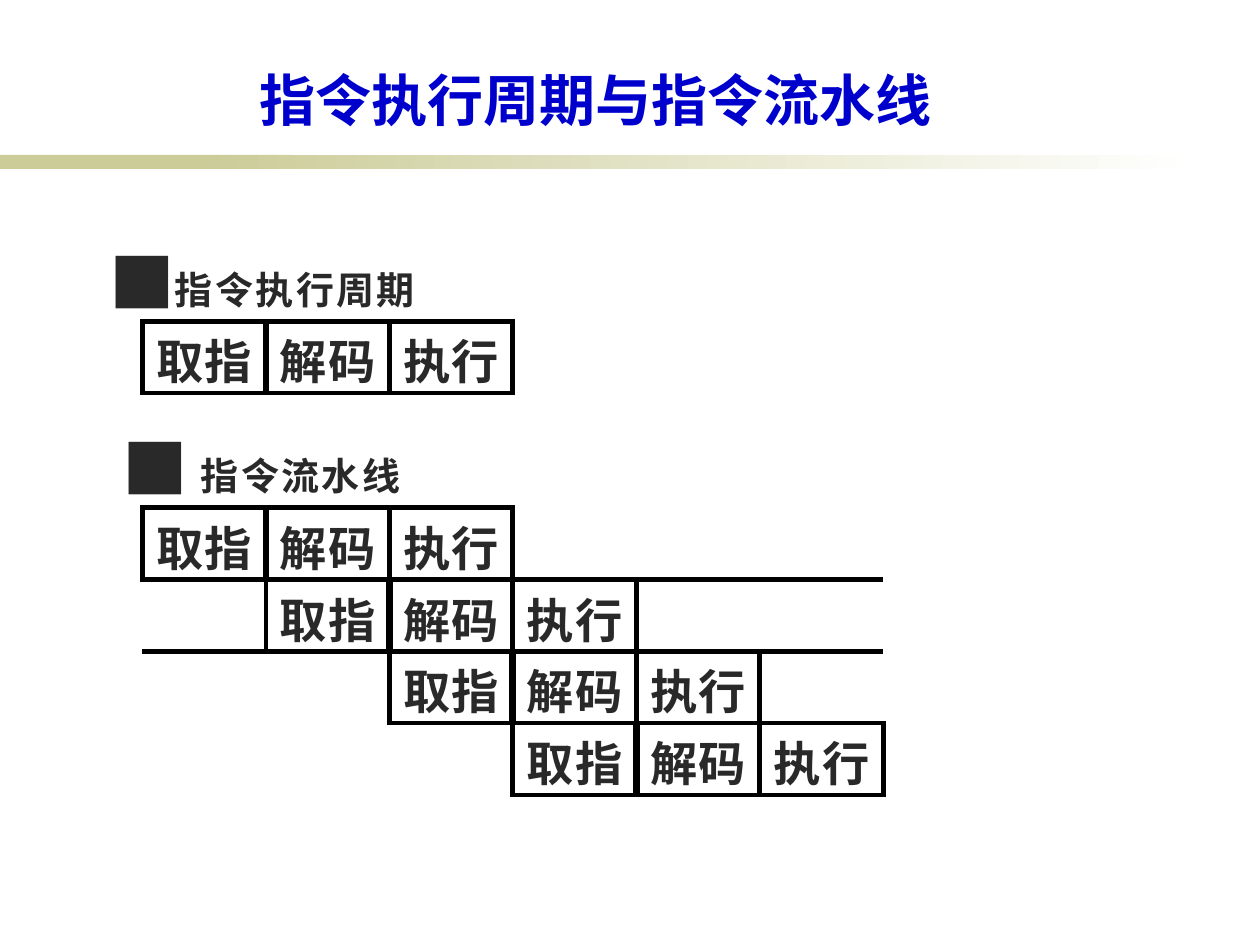
from lxml import etree
from pptx import Presentation
from pptx.dml.color import RGBColor
from pptx.enum.shapes import MSO_SHAPE
from pptx.enum.text import MSO_ANCHOR, MSO_AUTO_SIZE, PP_ALIGN
from pptx.oxml.ns import qn
from pptx.util import Inches, Pt

RECT = MSO_SHAPE.RECTANGLE
CENTER = PP_ALIGN.CENTER
TOP, BOTTOM = MSO_ANCHOR.TOP, MSO_ANCHOR.BOTTOM
FIXED = MSO_AUTO_SIZE.NONE

COLORS = {"title": "0000CC", "text": "292929", "bar": "CCCC99",
          "fade": "FFFFFF", "line": "000000"}
TITLE_FONT, TEXT_FONT = "Noto Sans CJK JP", "Noto Sans CJK SC"
NO_STYLE = "{2D5ABB26-0587-4C30-8999-92F81FD0307C}"
STAGES = ["取指", "解码", "执行"]
COL_W, ROW_H = 0.98, 0.57
THIN, THICK = 3, 4.25


def write(tf, text, size, font, color, spacing=0, baseline=0):
    """Put one centred bold line into a text frame and return its paragraph."""
    tf.text = text
    p = tf.paragraphs[0]
    p.alignment = CENTER
    r = p.runs[0]
    r.font.size, r.font.bold, r.font.name = Pt(size), True, font
    r.font.color.rgb = RGBColor.from_string(COLORS[color])
    rPr = r.font._element
    etree.SubElement(rPr, qn("a:ea"), typeface=font)
    if spacing:
        rPr.set("spc", str(int(spacing * 100)))
    if baseline:
        rPr.set("baseline", str(baseline * 1000))
    return p


def set_borders(cell, **widths):
    """Draw the sides given as L, R, T, B in points and clear the others."""
    tcPr = cell._tc.get_or_add_tcPr()
    for i, side in enumerate("LRTB"):
        ln = etree.Element(qn("a:ln" + side))
        tcPr.insert(i, ln)
        if side in widths:
            ln.set("w", str(Pt(widths[side])))
            fill = etree.SubElement(ln, qn("a:solidFill"))
            etree.SubElement(fill, qn("a:srgbClr"), val=COLORS["line"])
        else:
            ln.set("w", "0")
            etree.SubElement(ln, qn("a:noFill"))


prs = Presentation()
prs.slide_width, prs.slide_height = Inches(10), Inches(7.5)
s = prs.slides.add_slide(prs.slide_layouts[5])

# Bar under the title: a solid start, then a fade to white
for left, width, faded in [(0, 2.33, False), (1.58, 7.92, True)]:
    bar = s.shapes.add_shape(RECT, Inches(left), Inches(1.23), Inches(width), Inches(0.11))
    bar.shadow.inherit = False
    bar.line.fill.background()
    if faded:
        bar.fill.gradient()
        bar.fill.gradient_angle = 0
        for stop, name, position in zip(bar.fill.gradient_stops, ("bar", "fade"), (0, 1)):
            stop.color.rgb = RGBColor.from_string(COLORS[name])
            stop.position = position
    else:
        bar.fill.solid()
        bar.fill.fore_color.rgb = RGBColor.from_string(COLORS["bar"])

# Title
title = s.shapes.title
title.left, title.top = Inches(0.55), Inches(0.22)
title.width, title.height = Inches(8.36), Inches(0.83)
tf = title.text_frame
tf.margin_left = tf.margin_right = tf.margin_bottom = 0
tf.margin_top = Inches(0.02)
tf.vertical_anchor, tf.auto_size = BOTTOM, FIXED
write(tf, "指令执行周期与指令流水线", 32, TITLE_FONT, "title")

# Bulleted headings
for text, left, top, width, margin, indent in [
        ("指令执行周期", 0.74, 1.88, 2.67, 0.39, -0.38),
        ("指令流水线", 0.25, 3.36, 3.13, 1.14, -0.62)]:
    heading = s.shapes.add_textbox(Inches(left), Inches(top), Inches(width), Inches(0.43))
    tf = heading.text_frame
    tf.word_wrap = True
    tf.margin_left = tf.margin_right = tf.margin_bottom = 0
    tf.margin_top = Inches(0.02)
    p = write(tf, text, 37.5, TEXT_FONT, "text", spacing=1.4, baseline=1)
    pPr = p._p.get_or_add_pPr()
    pPr.set("marL", str(Inches(margin)))
    pPr.set("indent", str(Inches(indent)))
    etree.SubElement(pPr, qn("a:buFont"), typeface=TEXT_FONT)
    etree.SubElement(pPr, qn("a:buChar"), char="■")

# Tables: each instruction starts one column after the one above it
for rows, top in [(1, 2.55), (4, 4.03)]:
    cols = rows + len(STAGES) - 1
    frame = s.shapes.add_table(rows, cols, Inches(1.13), Inches(top),
                               Inches(cols * COL_W), Inches(rows * ROW_H))
    table = frame.table
    table.first_row = table.horz_banding = False
    table._tbl.tblPr.find(qn("a:tableStyleId")).text = NO_STYLE
    for col in table.columns:
        col.width = Inches(COL_W)
    for r, row in enumerate(table.rows):
        row.height = Inches(ROW_H)
        last = r + len(STAGES) - 1
        for c, cell in enumerate(row.cells):
            cell.fill.background()
            cell.margin_left = cell.margin_right = cell.margin_bottom = 0
            cell.margin_top = Inches(0.03)
            cell.vertical_anchor = TOP
            sides = {}
            if r <= c <= last:
                write(cell.text_frame, STAGES[c - r], 27, TEXT_FONT, "text", spacing=0.8)
                sides = dict(L=THIN, R=THIN, T=THIN, B=THIN)
                if c == r:
                    sides["R"] = THICK
                elif c == r + 1:
                    sides["L"] = THICK
            elif c < r:
                if c == r - 1:
                    sides["R"] = THIN
                if r <= 2:
                    sides["T"] = THIN
                if r == 1:
                    sides["B"] = THIN
            else:
                sides["B"] = THIN
                if c == last + 1:
                    sides["L"] = THIN
                if r > 0:
                    sides["T"] = THIN
            set_borders(cell, **sides)

# Blank stretches of the pipeline table
for r, first, last in [(0, 3, 5), (1, 4, 5), (2, 0, 1), (3, 0, 2)]:
    table.cell(r, first).merge(table.cell(r, last))

prs.save("out.pptx")
